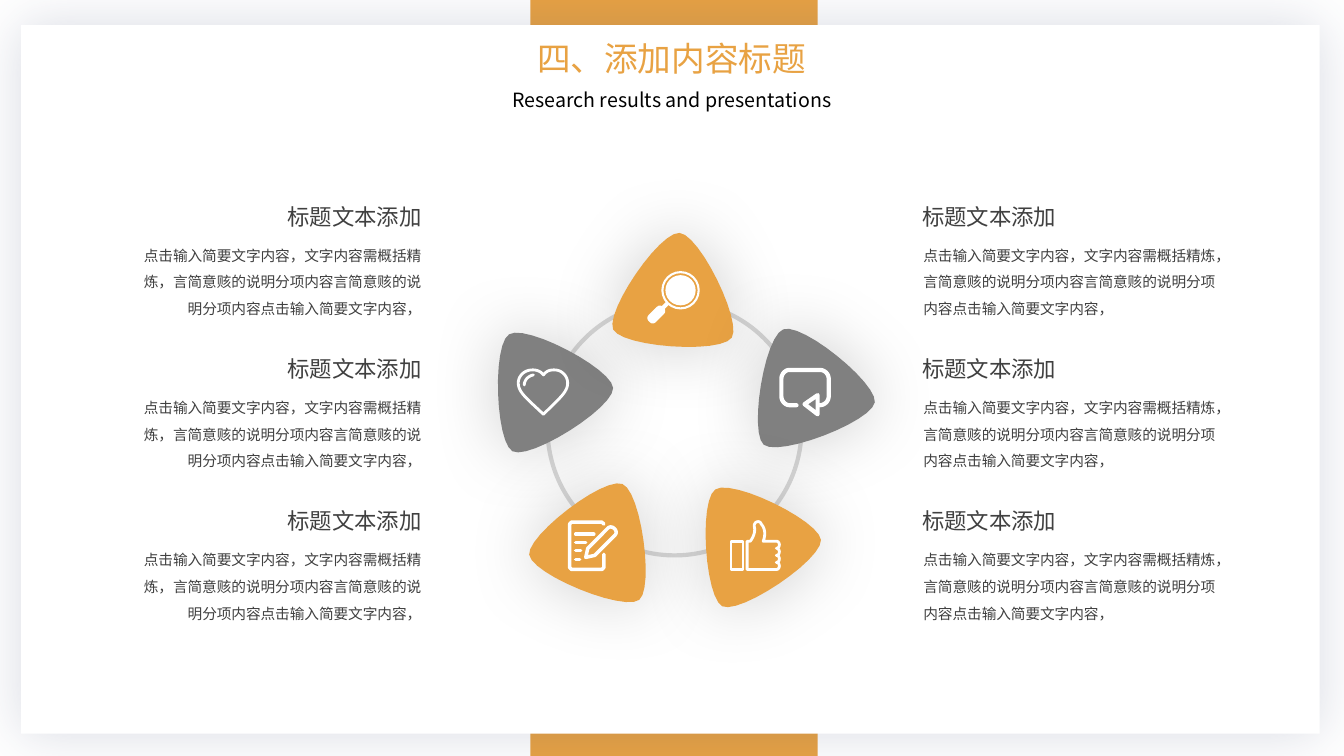
from lxml import etree
from pptx import Presentation
from pptx.dml.color import RGBColor
from pptx.enum.shapes import MSO_SHAPE
from pptx.enum.text import MSO_ANCHOR, PP_ALIGN
from pptx.oxml.ns import qn
from pptx.util import Inches, Pt

RECT, OVAL, ROUND = MSO_SHAPE.RECTANGLE, MSO_SHAPE.OVAL, MSO_SHAPE.ROUNDED_RECTANGLE
LEFT, CENTER, RIGHT = PP_ALIGN.LEFT, PP_ALIGN.CENTER, PP_ALIGN.RIGHT
MIDDLE, TOP = MSO_ANCHOR.MIDDLE, MSO_ANCHOR.TOP
FONT = "Noto Sans CJK SC"
COLORS = {name: RGBColor.from_string(value) for name, value in {
    "orange": "E8A243", "gray": "808080", "ring": "D9D9D9",
    "white": "FFFFFF", "black": "000000", "text": "404040"}.items()}
CURVE_STEPS = 12

prs = Presentation()
prs.slide_width, prs.slide_height = Inches(13.33), Inches(7.5)
slide = prs.slides.add_slide(prs.slide_layouts[5])


def style(sp, fill=None, line=None, width=0, shadow=None):
    """Shadow is (hex colour, opacity in percent, blur in points)."""
    sp.shadow.inherit = False
    if fill:
        sp.fill.solid()
        sp.fill.fore_color.rgb = COLORS[fill]
    else:
        sp.fill.background()
    if line:
        sp.line.color.rgb = COLORS[line]
        sp.line.width = Pt(width)
        sp._element.spPr.find(qn("a:ln")).set("cap", "rnd")
    else:
        sp.line.fill.background()
    if shadow:
        color, opacity, blur = shadow
        effects = sp._element.spPr.find(qn("a:effectLst"))
        outer = etree.SubElement(effects, qn("a:outerShdw"), blurRad=str(Pt(blur)),
                                 dist="0", dir="0", algn="ctr", rotWithShape="0")
        clr = etree.SubElement(outer, qn("a:srgbClr"), val=color)
        etree.SubElement(clr, qn("a:alpha"), val=str(opacity * 1000))


def outline(shapes, contours, x=0, y=0):
    """Each contour is a start point, then (x, y) lines and (c1, c2, end) curves."""
    builder = shapes.build_freeform(0, 0)
    for i, (start, *segments) in enumerate(contours):
        vertices, pos = [], start
        for seg in segments:
            if len(seg) == 2:
                vertices.append(seg)
            else:
                knots = (pos, seg[:2], seg[2:4], seg[4:])
                for step in range(1, CURVE_STEPS + 1):
                    t = step / CURVE_STEPS
                    weights = ((1 - t) ** 3, 3 * t * (1 - t) ** 2, 3 * t * t * (1 - t), t ** 3)
                    vertices.append([sum(w * k[axis] for w, k in zip(weights, knots))
                                     for axis in (0, 1)])
            pos = seg[-2:]
        first = [Inches(v) for v in start]
        if i == 0:
            builder = shapes.build_freeform(*first)
        else:
            builder.move_to(*first)
        builder.add_line_segments([[Inches(v) for v in p] for p in vertices], close=False)
    return builder.convert_to_shape(Inches(x), Inches(y))


# Backdrop: orange band behind a white card
band = slide.shapes.add_shape(RECT, Inches(5.26), 0, Inches(2.85), prs.slide_height)
style(band, "orange")
card = slide.shapes.add_shape(RECT, Inches(0.21), Inches(0.25), Inches(12.88), Inches(7.03))
style(card, "white", shadow=("434E77", 20, 40))

# Ring and petals
diagram = slide.shapes.add_group_shape().shapes
ring = diagram.add_shape(OVAL, Inches(5.43), Inches(2.99), Inches(2.52), Inches(2.52))
style(ring, line="ring", width=3)

petal = [(-0.59, 0.44), (-0.68, 0.27, -0.2, -0.56, 0, -0.56),
         (0.2, -0.56, 0.68, 0.27, 0.59, 0.44), (0.49, 0.61, -0.49, 0.61, -0.59, 0.44)]
for x, y, angle, color in [(5.35, 3.79, 327.8, "gray"), (6.7, 2.87, 4, "orange"),
                           (7.97, 3.79, 339.1, "gray"), (7.41, 5.32, 326.1, "orange"),
                           (5.96, 5.32, 22.3, "orange")]:
    sp = outline(diagram, [petal], x, y)
    sp.rotation = angle
    style(sp, color, shadow=("000000", 18, 51))

# Magnifier
for kind, x, y, w, h, angle, fill, line in [
        (OVAL, 6.75, 2.88, 0.36, 0.36, 0, None, "white"),
        (OVAL, 6.75, 2.88, 0.3, 0.3, 0, "white", None),
        (RECT, 6.6, 3.03, 0.07, 0.04, -45, "white", None),
        (ROUND, 6.51, 3.12, 0.2, 0.1, -45, "white", None)]:
    sp = diagram.add_shape(kind, Inches(x - w / 2), Inches(y - h / 2), Inches(w), Inches(h))
    sp.rotation = angle
    if kind == ROUND:
        sp.adjustments[0] = 0.4
    style(sp, fill, line, 1.5)

# Line icons
return_arrow = [
    [(7.9, 4.02), (7.83, 4.02), (7.79, 4.02, 7.75, 3.98, 7.75, 3.93), (7.75, 3.76),
     (7.75, 3.71, 7.79, 3.67, 7.83, 3.67), (8.13, 3.67), (8.18, 3.67, 8.22, 3.71, 8.22, 3.76),
     (8.22, 3.93), (8.22, 3.98, 8.18, 4.02, 8.13, 4.02)],
    [(8.11, 3.92), (7.98, 4.01), (8.11, 4.11), (8.11, 3.92)]]
knuckles = [(7.74, y, 7.74, y + 0.07, 7.7, y + 0.07) for y in (5.37, 5.44, 5.51, 5.58)]
thumb = [
    [(7.25, 5.37), (7.37, 5.37), (7.37, 5.65), (7.25, 5.65), (7.25, 5.37)],
    [(7.41, 5.37), (7.44, 5.37), (7.46, 5.35, 7.5, 5.28, 7.48, 5.22),
     (7.48, 5.17, 7.54, 5.16, 7.55, 5.2), (7.58, 5.23, 7.6, 5.29, 7.57, 5.37),
     (7.7, 5.37), *knuckles, (7.41, 5.65), (7.41, 5.37)]]
note = [
    [(5.99, 5.2), (5.97, 5.18), (5.67, 5.18), (5.65, 5.2), (5.65, 5.63), (5.67, 5.65),
     (5.97, 5.65), (5.99, 5.63), (5.99, 5.5)],
    [(6.03, 5.24), (5.83, 5.44), (5.81, 5.53), (5.9, 5.51), (6.1, 5.31),
     (6.14, 5.27, 6.07, 5.2, 6.03, 5.24)],
    *[[(5.71, y), (end, y)] for y, end in
      [(5.3, 5.89), (5.38, 5.81), (5.46, 5.76), (5.55, 5.75)]]]
heart = [
    [(5.39, 3.72), (5.36, 3.68, 5.32, 3.67, 5.28, 3.67), (5.2, 3.67, 5.14, 3.73, 5.14, 3.8),
     (5.14, 3.89, 5.22, 3.95, 5.39, 4.11), (5.55, 3.95, 5.63, 3.89, 5.63, 3.8),
     (5.63, 3.73, 5.57, 3.67, 5.5, 3.67), (5.45, 3.67, 5.42, 3.68, 5.39, 3.72)],
    [(5.29, 3.72), (5.24, 3.73, 5.2, 3.77, 5.2, 3.82)]]
for icon, width in [(return_arrow, 3), (thumb, 2), (note, 2.5), (heart, 2)]:
    style(outline(diagram, icon), line="white", width=width)

# Headings and text blocks
BODY = ("点击输入简要文字内容，文字内容需概括精炼，言简意赅的说明分项内容"
        "言简意赅的说明分项内容点击输入简要文字内容，")
title = slide.shapes.title
slide.shapes._spTree.append(title._element)
texts = [(title, "四、添加内容标题", 3.95, 0.33, 5.42, 0.5, CENTER, 24, "orange"),
         (None, "Research results and presentations", 3.2, 0.82, 6.93, 0.34, CENTER, 14, "black")]
for row in range(3):
    y = 1.96 + 1.51 * row
    texts += [(None, BODY, 9.06, y + 0.35, 3.12, 0.87, LEFT, 10.5, "text"),
              (None, "标题文本添加", 9.05, y, 2.76, 0.37, LEFT, 16, "text"),
              (None, BODY, 1.25, y + 0.35, 3.03, 0.87, RIGHT, 10.5, "text"),
              (None, "标题文本添加", 1.52, y, 2.76, 0.37, RIGHT, 16, "text")]

for box, text, x, y, w, h, align, size, color in texts:
    box = box or slide.shapes.add_textbox(0, 0, 0, 0)
    box.left, box.top, box.width, box.height = (Inches(v) for v in (x, y, w, h))
    tf = box.text_frame
    tf.text = text
    tf.word_wrap = True
    tf.vertical_anchor = TOP if text == BODY else MIDDLE
    p = tf.paragraphs[0]
    p.alignment = align
    if text == BODY:
        p.line_spacing = Pt(19)
    r = p.runs[0]
    r.font.size, r.font.name = Pt(size), FONT
    r.font.color.rgb = COLORS[color]
    etree.SubElement(r._r.rPr, qn("a:ea"), typeface=FONT)

prs.save("out.pptx")
